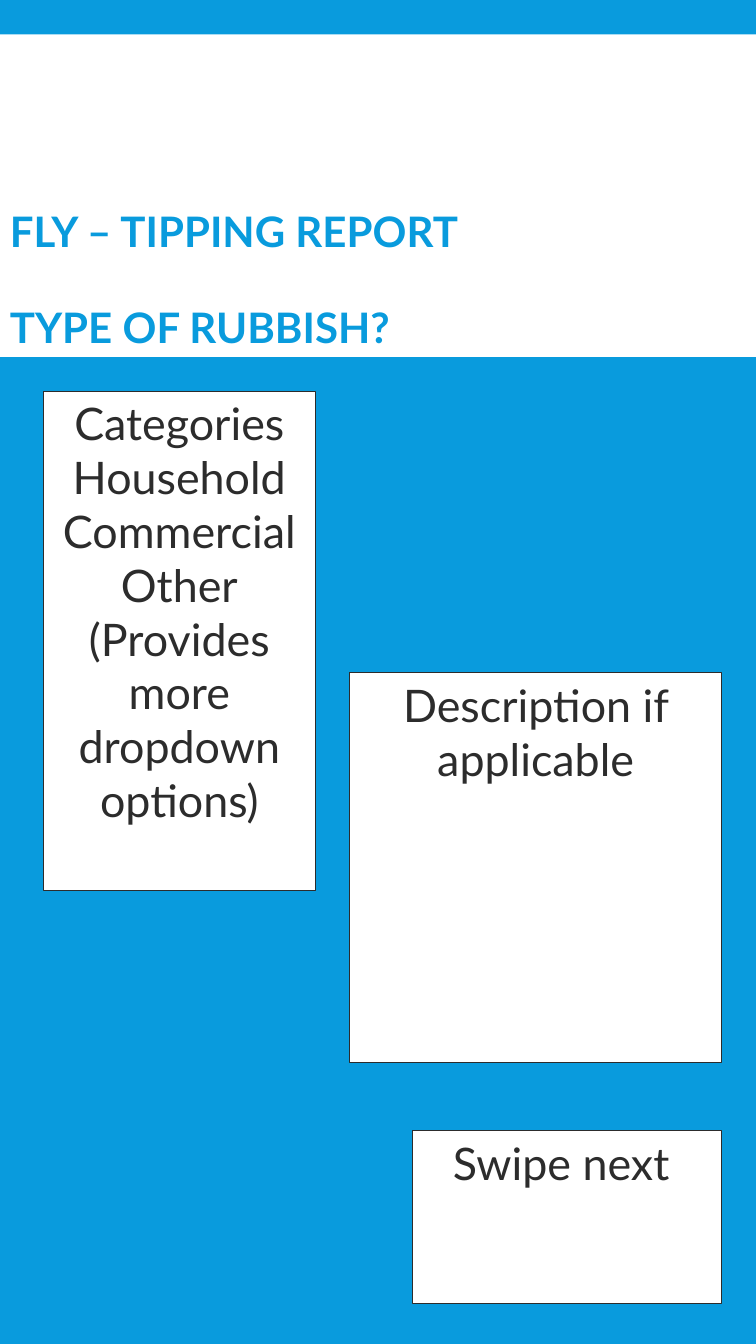
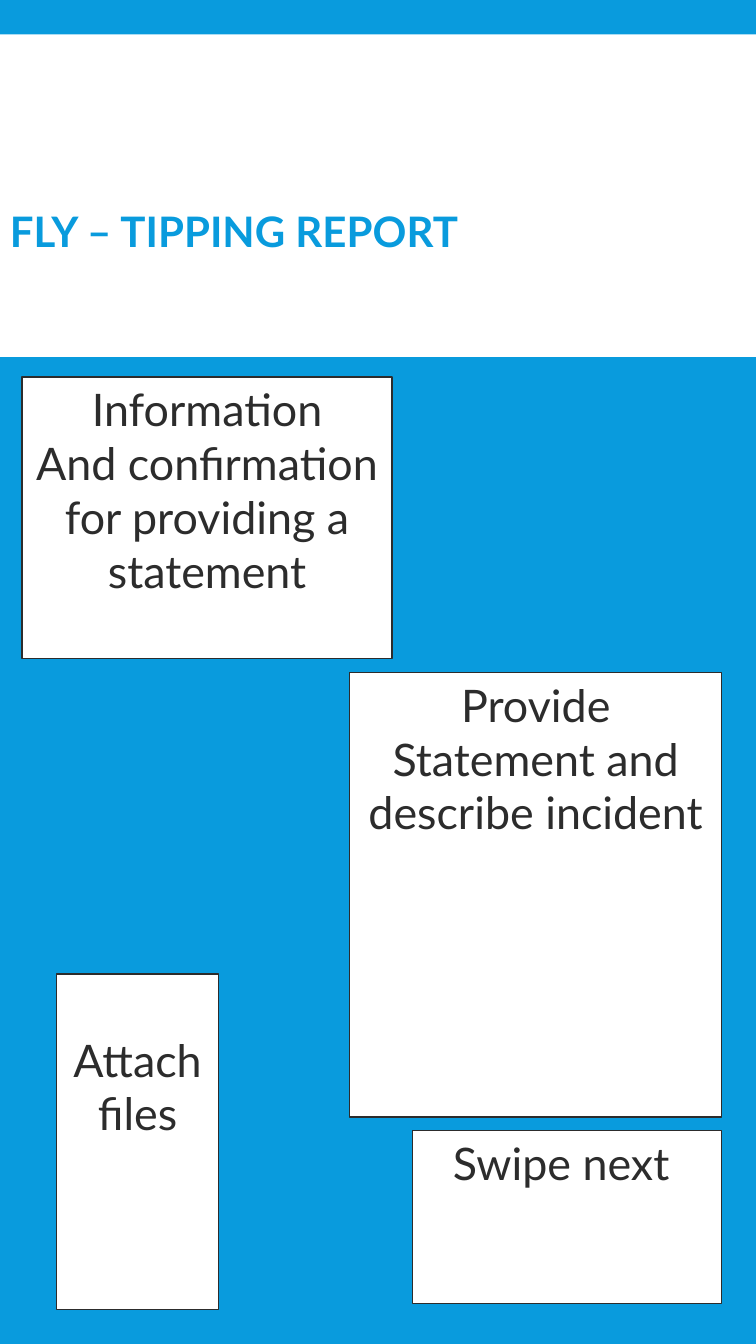
from pptx import Presentation
from pptx.dml.color import RGBColor
from pptx.enum.shapes import MSO_SHAPE
from pptx.enum.text import MSO_ANCHOR, PP_ALIGN
from pptx.util import Inches, Pt

BLUE = RGBColor(0x09, 0x9B, 0xDD)
WHITE = RGBColor(0xFF, 0xFF, 0xFF)
DARK = RGBColor(0x2C, 0x2C, 0x2C)
FONT = "Lato"

WIDTH, HEIGHT = 7.5, 13.33
RIGHT_EDGE = 7.16  # shared by the boxes in the right column
LINE_HEIGHT = 0.53  # one line of box text
TITLE_TOP, SUBTITLE_TOP, TITLE_HEIGHT = 2.01, 2.96, 0.64


def write_text(shape, text, size=32, color=DARK, bold=False, align=PP_ALIGN.CENTER,
               anchor=MSO_ANCHOR.TOP, spacing=1.0, lines_above=0):
    """Fill a shape with one paragraph per line of text."""
    frame = shape.text_frame
    frame.word_wrap = True
    frame.vertical_anchor = anchor
    frame.margin_top = Inches(0.05 + lines_above * LINE_HEIGHT)
    frame.text = text
    for paragraph in frame.paragraphs:
        paragraph.alignment = align
        paragraph.line_spacing = spacing
        font = paragraph.runs[0].font
        font.name, font.size, font.bold = FONT, Pt(size), bold
        font.color.rgb = color


def add_panel(slide, left, top, width, height, outlined=True):
    """Add a white rectangle, with a thin dark outline if wanted."""
    panel = slide.shapes.add_shape(
        MSO_SHAPE.RECTANGLE, Inches(left), Inches(top), Inches(width), Inches(height))
    panel.shadow.inherit = False
    panel.fill.solid()
    panel.fill.fore_color.rgb = WHITE
    if outlined:
        panel.line.color.rgb = DARK
        panel.line.width = Pt(1)
    else:
        panel.line.fill.background()
    return panel


# Slide content: headings as (top, text), boxes as (left, top, width, height, text, lines above)
report_heading = (TITLE_TOP, "FLY – TIPPING REPORT")
swipe_box = (RIGHT_EDGE - 3.07, 11.21, 3.07, 1.72, "Swipe next ", 0)
screens = [
    {
        "headings": [(SUBTITLE_TOP, "TYPE OF RUBBISH?"), report_heading],
        "boxes": [
            swipe_box,
            (RIGHT_EDGE - 3.69, 6.67, 3.69, 3.87, "Description if applicable", 0),
            (0.43, 3.88, 2.7, 4.95,
             "Categories\nHousehold\nCommercial\nOther\n(Provides more dropdown options)", 0),
        ],
    },
    {
        "headings": [report_heading],
        "boxes": [
            swipe_box,
            (RIGHT_EDGE - 3.69, 6.67, 3.69, 4.41,
             "Provide Statement and describe incident", 0),
            (0.22, 3.74, 3.67, 2.79,
             "Information\nAnd confirmation for providing a statement", 0),
            (0.56, 9.66, 1.61, 3.33, "Attach files", 1),
        ],
    },
]

# Presentation with the shared blue background
presentation = Presentation()
presentation.slide_width, presentation.slide_height = Inches(WIDTH), Inches(HEIGHT)
background = presentation.slide_master.background.fill
background.solid()
background.fore_color.rgb = BLUE

for screen in screens:
    slide = presentation.slides.add_slide(presentation.slide_layouts[6])

    # Title band
    add_panel(slide, 0, 0.34, WIDTH, 3.2, outlined=False)
    for top, text in screen["headings"]:
        heading = slide.shapes.add_textbox(
            0, Inches(top), Inches(WIDTH), Inches(TITLE_HEIGHT))
        write_text(heading, text, size=30, color=BLUE, bold=True,
                   align=PP_ALIGN.LEFT, anchor=MSO_ANCHOR.MIDDLE, spacing=0.85)

    # Form boxes
    for left, top, width, height, text, lines_above in screen["boxes"]:
        box = add_panel(slide, left, top, width, height)
        write_text(box, text, lines_above=lines_above)

presentation.save("out.pptx")
